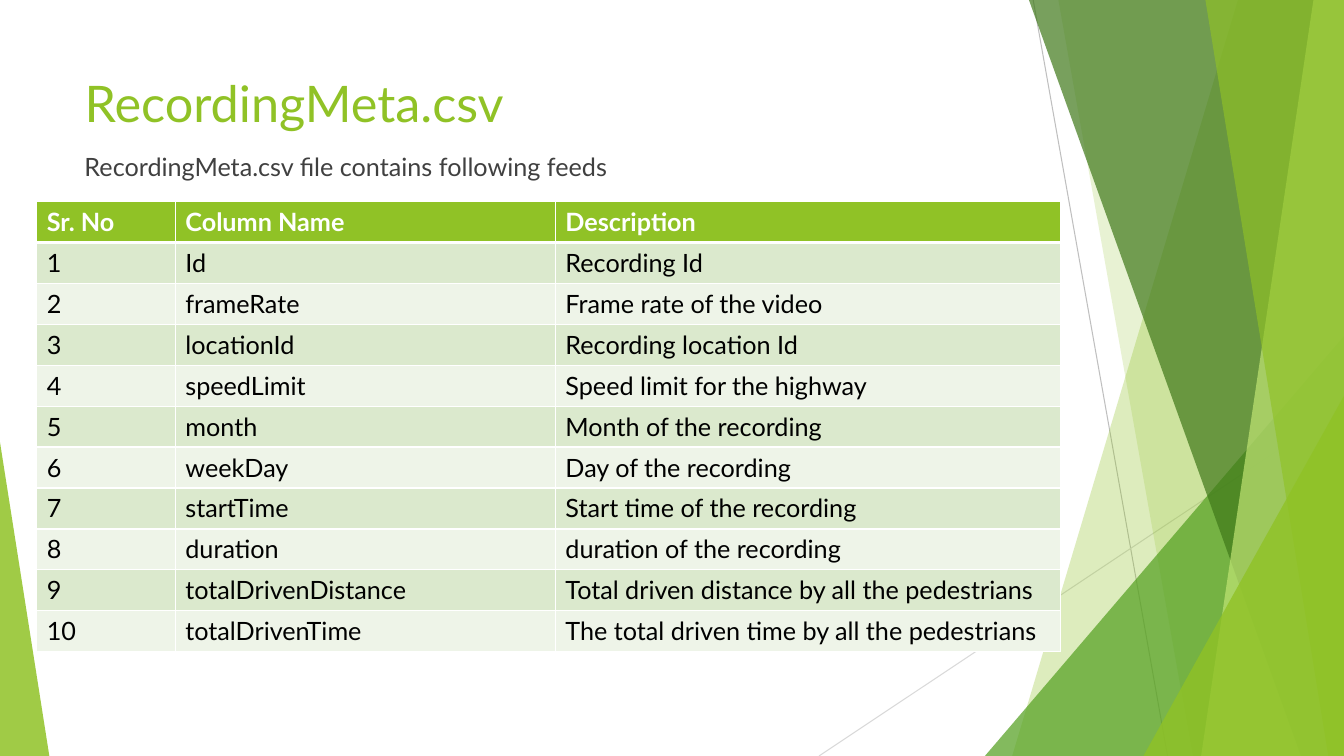
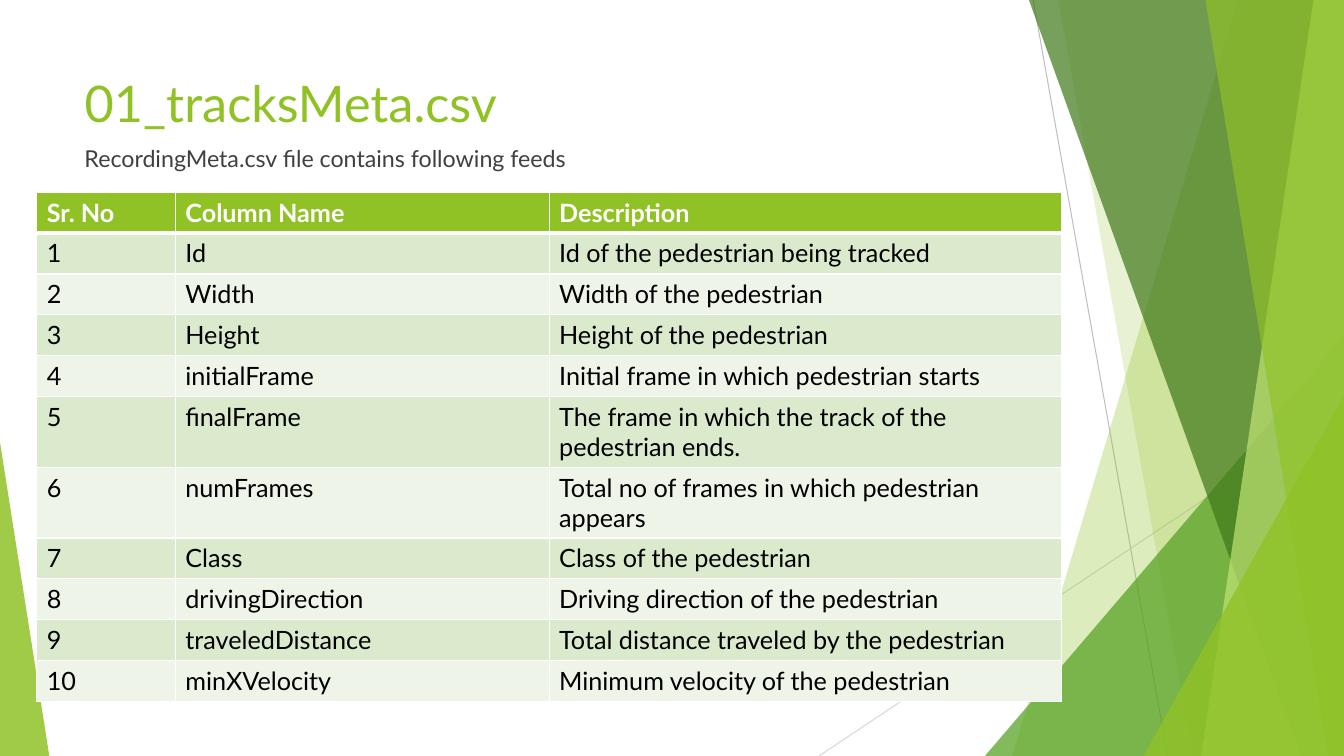
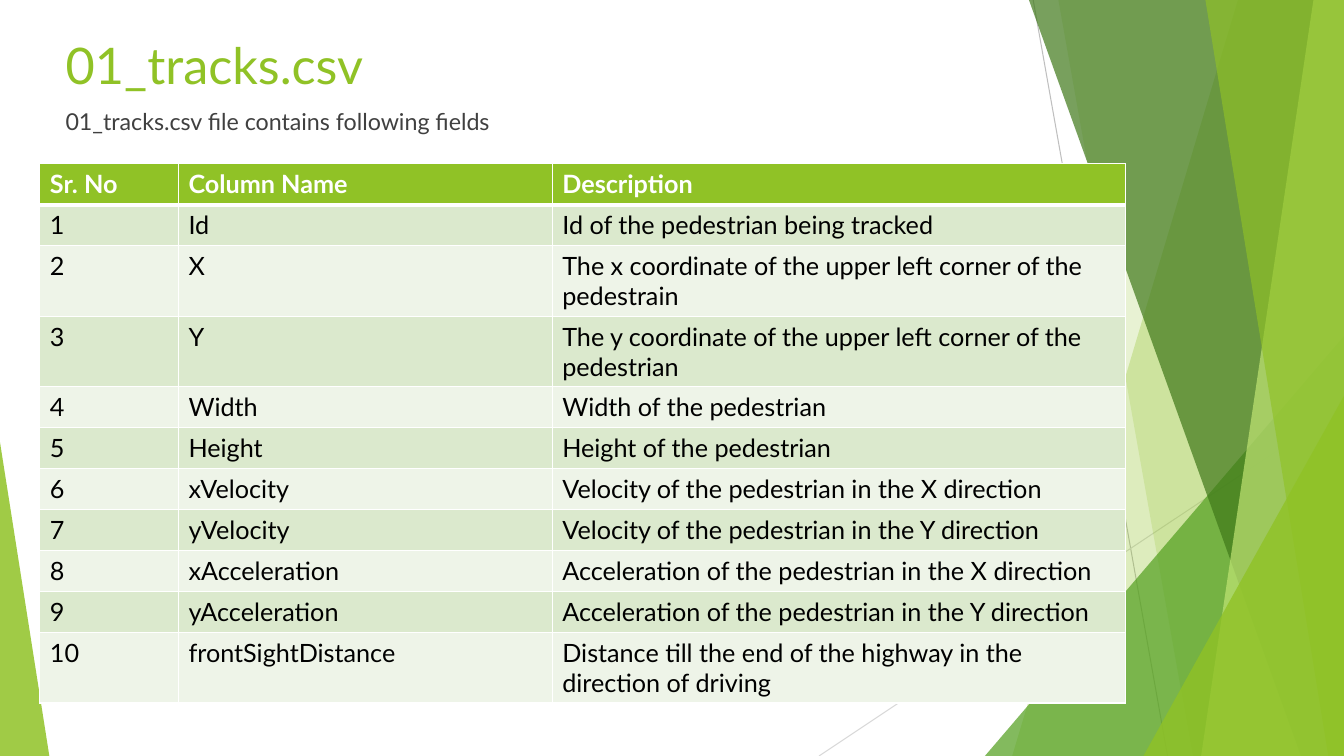
from lxml import etree
from pptx import Presentation
from pptx.dml.color import RGBColor
from pptx.enum.shapes import MSO_CONNECTOR, MSO_SHAPE
from pptx.enum.text import MSO_ANCHOR, PP_ALIGN
from pptx.oxml.ns import qn
from pptx.util import Pt

TRIANGLE = MSO_SHAPE.ISOSCELES_TRIANGLE
STRAIGHT = MSO_CONNECTOR.STRAIGHT
TOP = MSO_ANCHOR.TOP
LEFT = PP_ALIGN.LEFT

PX = 9525
W, H = 1280, 720
ROW_H = 39
FONT = "Lato"
C = {
    "lime": "90C226", "green": "54A021", "forest": "3F7819", "pale": "C0E474",
    "silver": "BFBFBF", "mist": "D9D9D9", "body": "404040", "white": "FFFFFF",
    "black": "000000", "odd": "DBE9CD", "even": "EEF4E8",
}
RAYS = [
    ((984, 0), (1112, H), "silver"),
    ((W, 387), (780, H), "mist"),
]
FACETS = [
    ("band", (1179, 964), "lime", 30),
    ("band", (1008, 1136), "lime", 20),
    ("triangle", (938, 320, 342, 400, 1), "green", 72),
    ("band", (980, 1239), "forest", 70),
    ("band", (1251, 1144), "pale", 70),
    ("band", (1148, 1265), "lime", 65),
    ("triangle", (1089, 377, 191, 343, 1), "lime", 80),
    ("triangle", (0, 421, 47, 299, 0), "lime", 85),
]
HEADER = ("Sr. No", "Column Name", "Description")

SLIDES = [
    dict(
        title="RecordingMeta.csv", title_at=(71, 64),
        lead="RecordingMeta.csv file contains following feeds",
        lead_top=139, lead_size=18,
        table_at=(35, 192), cols=(132, 362, 481),
        rows=[
            ("Id", "Recording Id"),
            ("frameRate", "Frame rate of the video"),
            ("locationId", "Recording location Id"),
            ("speedLimit", "Speed limit for the highway"),
            ("month", "Month of the recording"),
            ("weekDay", "Day of the recording"),
            ("startTime", "Start time of the recording"),
            ("duration", "duration of the recording"),
            ("totalDrivenDistance", "Total driven distance by all the pedestrians"),
            ("totalDrivenTime", "The total driven time by all the pedestrians"),
        ],
    ),
    dict(
        title="01_tracksMeta.csv", title_at=(71, 64),
        lead="RecordingMeta.csv file contains following feeds",
        lead_top=133, lead_size=16.6,
        table_at=(35, 183), cols=(132, 356, 488),
        rows=[
            ("Id", "Id of the pedestrian being tracked"),
            ("Width", "Width of the pedestrian"),
            ("Height", "Height of the pedestrian"),
            ("initialFrame", "Initial frame in which pedestrian starts"),
            ("finalFrame", "The frame in which the track of the pedestrian ends."),
            ("numFrames", "Total no of frames in which pedestrian appears"),
            ("Class", "Class of the pedestrian"),
            ("drivingDirection", "Driving direction of the pedestrian"),
            ("traveledDistance", "Total distance traveled by the pedestrian"),
            ("minXVelocity", "Minimum velocity of the pedestrian"),
        ],
    ),
    dict(
        title="01_tracks.csv", title_at=(53, 28),
        lead="01_tracks.csv file contains following fields",
        lead_top=97, lead_size=16.6,
        table_at=(38, 156), cols=(132, 356, 546),
        rows=[
            ("Id", "Id of the pedestrian being tracked"),
            ("X", "The x coordinate of the upper left corner of the pedestrain"),
            ("Y", "The y coordinate of the upper left corner of the pedestrian"),
            ("Width", "Width of the pedestrian"),
            ("Height", "Height of the pedestrian"),
            ("xVelocity", "Velocity of the pedestrian in the X direction"),
            ("yVelocity", "Velocity of the pedestrian in the Y direction"),
            ("xAcceleration", "Acceleration of the pedestrian in the X direction"),
            ("yAcceleration", "Acceleration of the pedestrian in the Y direction"),
            ("frontSightDistance",
             "Distance till the end of the highway in the direction of driving"),
        ],
    ),
]


def px(*lengths):
    return [n * PX for n in lengths]


def rgb(name):
    return RGBColor.from_string(C[name])


def write(tf, text, size, color, bold=False):
    p = tf.paragraphs[0]
    p.alignment = LEFT
    r = p.add_run()
    r.text = text
    r.font.name = FONT
    r.font.size = Pt(size)
    r.font.bold = bold
    r.font.color.rgb = rgb(color)


def paint(sp, color, opacity):
    sp.shadow.inherit = False
    sp.line.fill.background()
    sp.fill.solid()
    sp.fill.fore_color.rgb = rgb(color)
    clr = sp.element.spPr.find(f"{qn('a:solidFill')}/{qn('a:srgbClr')}")
    etree.SubElement(clr, qn("a:alpha"), val=str(opacity * 1000))


def add_ray(shapes, start, end, color):
    ray = shapes.add_connector(STRAIGHT, *px(*start, *end))
    ray.line.color.rgb = rgb(color)
    ray.line.width = Pt(0.75)
    etree.SubElement(ray.element.spPr, qn("a:effectLst"))


def add_band(shapes, top_x, bottom_x):
    fb = shapes.build_freeform(top_x, 0, scale=PX)
    fb.add_line_segments([(W, 0), (W, H), (bottom_x, H)], close=True)
    return fb.convert_to_shape()


def add_triangle(shapes, x, y, w, h, apex):
    sp = shapes.add_shape(TRIANGLE, *px(x, y, w, h))
    sp.adjustments[0] = apex
    return sp


def move_backdrop_to_layout(s, layout):
    group = s.shapes.add_group_shape()
    for ray in RAYS:
        add_ray(group.shapes, *ray)
    makers = {"band": add_band, "triangle": add_triangle}
    for kind, geometry, color, opacity in FACETS:
        paint(makers[kind](group.shapes, *geometry), color, opacity)
    for i, props in enumerate(group.element.iter(qn("p:cNvPr")), 100):
        props.set("id", str(i))
    layout.shapes.element.insert(2, group.element)


def add_heading(s, title, x, y, lead, lead_top, lead_size):
    sp = s.shapes.title
    sp.left, sp.top, sp.width, sp.height = px(x, y, 902, 138)
    sp.text_frame.vertical_anchor = TOP
    write(sp.text_frame, title, 36, "lime")
    tf = s.shapes.add_textbox(*px(x, lead_top, 902, 36)).text_frame
    tf.word_wrap = True
    write(tf, lead, lead_size, "body")


def set_borders(cell, top, bottom):
    tc_pr = cell._tc.get_or_add_tcPr()
    for side, width in (("L", 1), ("R", 1), ("T", top), ("B", bottom)):
        ln = etree.SubElement(tc_pr, qn(f"a:ln{side}"), w=str(Pt(width)))
        fill = etree.SubElement(ln, qn("a:solidFill"))
        etree.SubElement(fill, qn("a:srgbClr"), val=C["white"])


def add_field_table(s, x, y, cols, fields):
    rows = [HEADER] + [(str(n), *field) for n, field in enumerate(fields, 1)]
    frame = s.shapes.add_table(
        len(rows), len(cols), *px(x, y, sum(cols), ROW_H * len(rows)))
    table = frame.table
    for column, width in zip(table.columns, cols):
        column.width = width * PX
    for i, texts in enumerate(rows):
        table.rows[i].height = ROW_H * PX
        head = i == 0
        shade = "lime" if head else ("even", "odd")[i % 2]
        for j, text in enumerate(texts):
            cell = table.cell(i, j)
            set_borders(cell, 3 if i == 1 else 1, 3 if head else 1)
            cell.fill.solid()
            cell.fill.fore_color.rgb = rgb(shade)
            write(cell.text_frame, text, 18, "white" if head else "black", head)


def add_table_slide(s, d):
    add_heading(s, d["title"], *d["title_at"], d["lead"], d["lead_top"], d["lead_size"])
    add_field_table(s, *d["table_at"], d["cols"], d["rows"])


def main():
    prs = Presentation()
    prs.slide_width, prs.slide_height = px(W, H)
    layout = prs.slide_layouts[5]
    slides = [prs.slides.add_slide(layout) for _ in SLIDES]
    move_backdrop_to_layout(slides[0], layout)
    for s, d in zip(slides, SLIDES):
        add_table_slide(s, d)
    prs.save("out.pptx")


if __name__ == "__main__":
    main()
